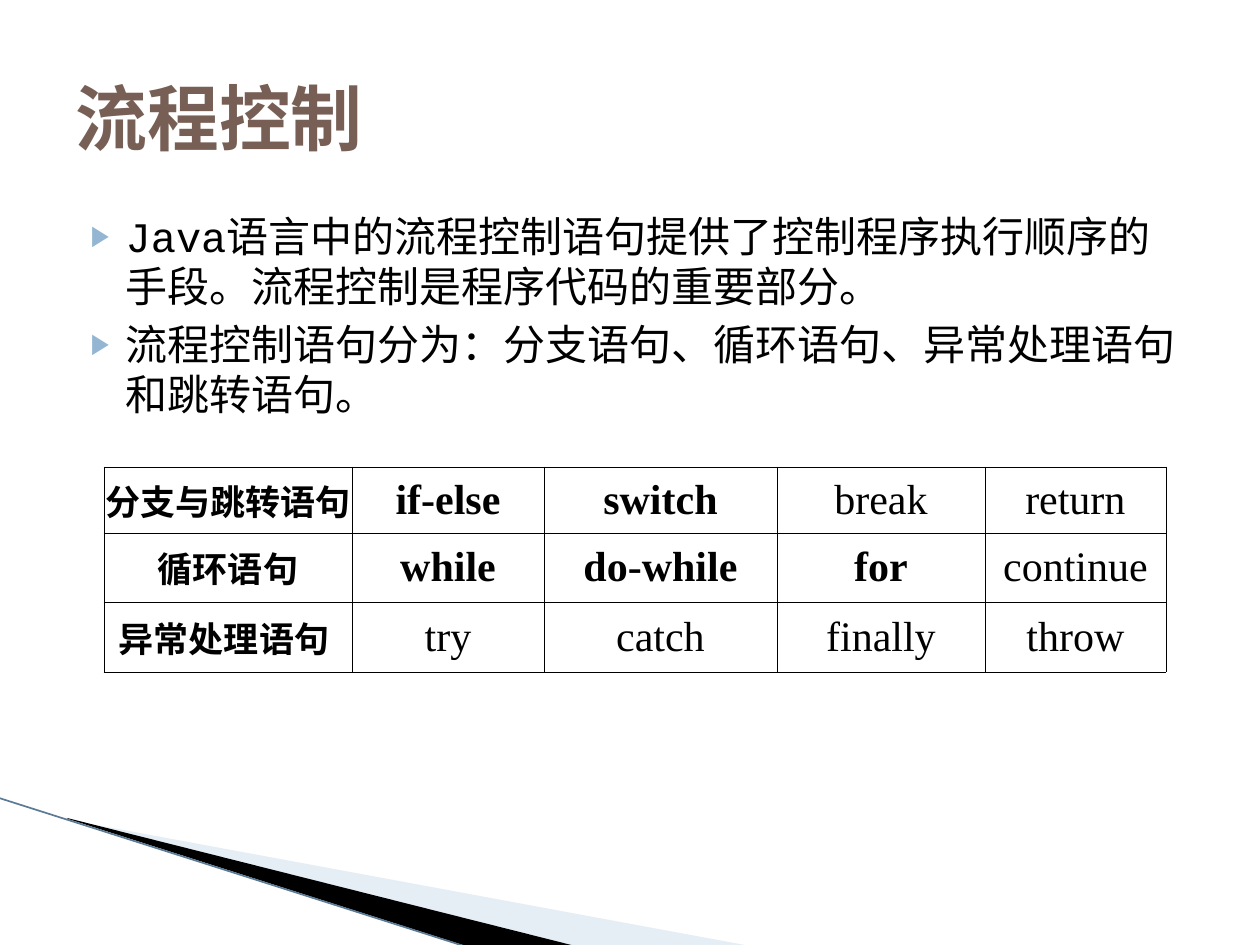
from lxml import etree
from pptx import Presentation
from pptx import util as u
from pptx.dml import color
from pptx.enum import shapes, text
from pptx.oxml import ns

SCALE = 914400 / 126
BLACK = "000000"
BODY = [
    "Java语言中的流程控制语句提供了控制程序执行顺序的手段。流程控制是程序代码的重要部分。",
    "流程控制语句分为：分支语句、循环语句、异常处理语句和跳转语句。",
]
STATEMENTS = [
    ["分支与跳转语句", "if-else", "switch", "break", "return"],
    ["循环语句", "while", "do-while", "for", "continue"],
    ["异常处理语句 ", "try", "catch", "finally", "throw"],
]
KEY_STATEMENTS = {"if-else", "switch", "while", "do-while", "for"}
COLUMN_WIDTHS = [248, 192, 233, 207, 181]
ROW_HEIGHTS = [66, 69, 70]
COLUMN_WIDTHS[3] += 1


def px(length):
    return u.Emu(round(length * SCALE))


def rgb(value):
    return color.RGBColor.from_string(value)


def add_element(parent, tag, **attributes):
    return etree.SubElement(parent, ns.qn(tag), attributes)


def place(shape, left, top, width, height):
    shape.left, shape.top = px(left), px(top)
    shape.width, shape.height = px(width), px(height)


def set_font(paragraph, name, size, fill, bold=False):
    font = paragraph.font
    font.name, font.size, font.bold = name, u.Pt(size), bold
    font.color.rgb = rgb(fill)


def set_frame(shape, points, frame):
    left, top, width, height = frame
    place(shape, *frame)
    outline = next(shape._element.iter(ns.qn("a:path")))
    outline.set("w", str(width))
    outline.set("h", str(height))
    shift_x = min(x for x, y in points) - left
    shift_y = min(y for x, y in points) - top
    for point in outline.iter(ns.qn("a:pt")):
        point.set("x", str(int(point.get("x")) + shift_x))
        point.set("y", str(int(point.get("y")) + shift_y))


def add_wedge(slide, points, frame, fill, opacity=100):
    builder = slide.shapes.build_freeform(*points[0], scale=SCALE)
    builder.add_line_segments(points[1:], close=True)
    shape = builder.convert_to_shape()
    set_frame(shape, points, frame)
    shape.shadow.inherit = False
    shape.line.fill.background()
    shape.fill.solid()
    shape.fill.fore_color.rgb = rgb(fill)
    if opacity < 100:
        solid = shape._element.spPr.find(ns.qn("a:solidFill"))
        add_element(solid[0], "a:alpha", val=str(opacity * 1000))


def add_edge(slide, start, end, fill, width):
    edge = slide.shapes.add_connector(
        shapes.MSO_CONNECTOR.STRAIGHT, *map(px, start + end))
    edge.line.color.rgb = rgb(fill)
    edge.line.width = u.Pt(width)
    add_element(edge._element.spPr, "a:effectLst")


def set_title(slide, words):
    title = slide.shapes.title
    place(title, 63, 38, 1134, 157)
    frame = title.text_frame
    frame.text = words
    frame.auto_size = text.MSO_AUTO_SIZE.NONE
    frame.vertical_anchor = text.MSO_ANCHOR.MIDDLE
    paragraph = frame.paragraphs[0]
    paragraph.alignment = text.PP_ALIGN.LEFT
    set_font(paragraph, "Courier New", 41, "775F55", True)


def add_bullet(paragraph):
    properties = paragraph._p.get_or_add_pPr()
    properties.set("marL", str(px(50)))
    properties.set("indent", str(px(-35)))
    bullet_color = add_element(properties, "a:buClr")
    add_element(bullet_color, "a:srgbClr", val="94B6D2")
    add_element(properties, "a:buSzPct", val="68000")
    add_element(properties, "a:buChar", char="▶")


def set_body(slide, items):
    body = slide.placeholders[1]
    place(body, 63, 204, 1134, 624)
    frame = body.text_frame
    frame.text = "\n".join(items)
    frame.auto_size = text.MSO_AUTO_SIZE.NONE
    for paragraph in frame.paragraphs:
        paragraph.space_before = u.Pt(4)
        add_bullet(paragraph)
        set_font(paragraph, "Courier New", 24, BLACK)


def set_borders(cell):
    properties = cell._tc.get_or_add_tcPr()
    for side in "LRTB":
        border = add_element(properties, f"a:ln{side}", w=str(u.Pt(0.5)))
        solid = add_element(border, "a:solidFill")
        add_element(solid, "a:srgbClr", val=BLACK)


def fill_cell(cell, words, size, bold):
    cell.text = words
    cell.vertical_anchor = text.MSO_ANCHOR.MIDDLE
    cell.margin_left = cell.margin_right = 0
    cell.margin_top = cell.margin_bottom = 0
    set_borders(cell)
    cell.fill.background()
    paragraph = cell.text_frame.paragraphs[0]
    paragraph.alignment = text.PP_ALIGN.CENTER
    paragraph.space_before = u.Pt(size * 0.2)
    set_font(paragraph, "Times New Roman", size, BLACK, bold)


def add_statement_table(slide):
    table = slide.shapes.add_table(
        len(STATEMENTS), len(COLUMN_WIDTHS), px(104), px(467),
        px(sum(COLUMN_WIDTHS)), px(sum(ROW_HEIGHTS))).table
    table.first_row = table.horz_banding = False
    for column, width in zip(table.columns, COLUMN_WIDTHS):
        column.width = px(width)
    for row, height in zip(table.rows, ROW_HEIGHTS):
        row.height = px(height)
    for row, words_in_row in enumerate(STATEMENTS):
        for column, words in enumerate(words_in_row):
            is_label = column == 0
            fill_cell(table.cell(row, column), words, 20 if is_label else 24,
                      is_label or words in KEY_STATEMENTS)


def main():
    presentation = Presentation()
    presentation.slide_width, presentation.slide_height = px(1260), px(945)
    slide = presentation.slides.add_slide(presentation.slide_layouts[1])
    add_wedge(slide, [(69, 820), (750, 946), (575, 946), (69, 819)],
              (98, 689, 524, 199), "C0D3E6", 40)
    add_wedge(slide, [(67, 818), (575, 946), (469, 947), (68, 819)],
              (-8, 798, 524, 116), BLACK)
    add_edge(slide, (-1, 798), (467, 947), "5B7A96", 0.95)
    set_body(slide, BODY)
    set_title(slide, "流程控制")
    add_statement_table(slide)
    presentation.save("out.pptx")


if __name__ == "__main__":
    main()
